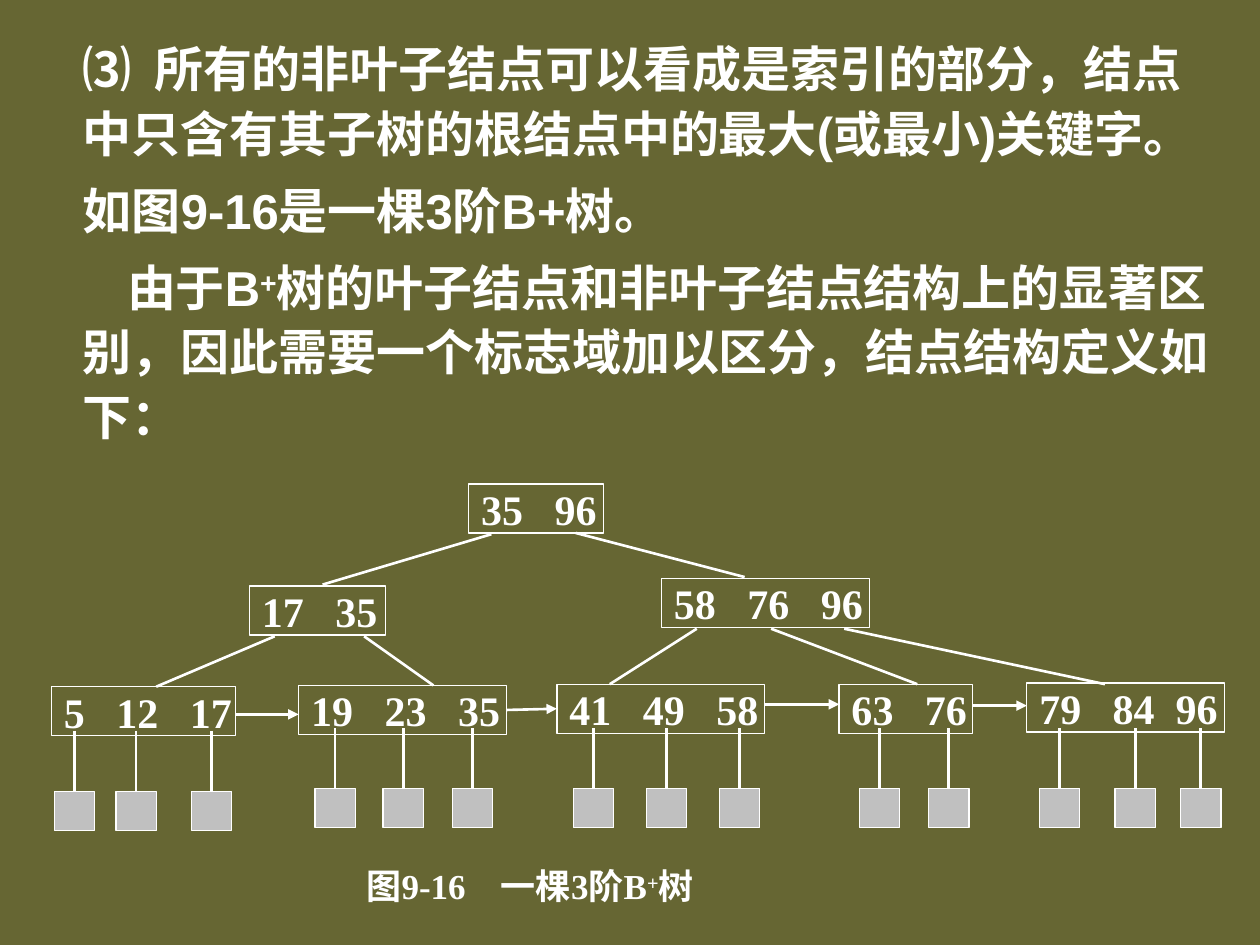
from lxml import etree
from pptx import Presentation
from pptx.dml.color import RGBColor
from pptx.enum.shapes import MSO_CONNECTOR, MSO_SHAPE
from pptx.enum.text import MSO_ANCHOR, PP_ALIGN
from pptx.oxml.ns import qn
from pptx.util import Inches, Pt

RECTANGLE = MSO_SHAPE.RECTANGLE
STRAIGHT = MSO_CONNECTOR.STRAIGHT
MIDDLE = MSO_ANCHOR.MIDDLE
LEFT = PP_ALIGN.LEFT
TOP_SIDE, LEFT_SIDE, RIGHT_SIDE = 0, 1, 3

COLORS = {"background": "666633", "white": "FFFFFF", "record": "C0C0C0"}
SANS, SERIF, CHINESE = "Arial", "Times New Roman", "Noto Sans CJK SC"
NODE_HEIGHT = 0.39
RECORD_WIDTH, RECORD_HEIGHT = 0.32, 0.31

BODY = [
    (0, [("⑶  所有的非叶子结点可以看成是索引的部分，结点中只含有其子树的根结点中的最大(或最小)关键字。", False)]),
    (0, [("如图9-16是一棵3阶B+树。", False)]),
    (0.35, [
        ("由于B", False),
        ("+", True),
        ("树的叶子结点和非叶子结点结构上的显著区别，因此需要一个标志域加以区分，结点结构定义如下：", False),
    ]),
]
CAPTION = [("图9-16    一棵3阶B", False), ("+", True), ("树", False)]

INNER_NODES = [
    ("35   96", 3.31, 0, 1.07),
    ("17   35", 1.57, 0.81, 1.08),
    ("58   76   96", 4.84, 0.75, 1.65),
]
BRANCHES = [
    (3.49, 0.4, 2.15, 0.8),
    (4.16, 0.39, 5.5, 0.74),
    (1.77, 1.21, 0.83, 1.61),
    (2.48, 1.21, 3.03, 1.6),
    (5.12, 1.15, 4.43, 1.59),
    (5.71, 1.15, 6.87, 1.59),
    (6.29, 1.15, 8.36, 1.59),
]
LEAVES = [
    ("5   12   17", 0, 1.61, 1.46, 1.96, (0.18, 0.67, 1.27)),
    ("19   23   35", 1.96, 1.6, 1.65, 1.94, (0.29, 0.83, 1.38)),
    ("41   49   58", 4.01, 1.59, 1.65, 1.94, (0.29, 0.87, 1.45)),
    ("63   76", 6.25, 1.59, 1.06, 1.94, (0.32, 0.87)),
    ("79   84  96", 7.74, 1.58, 1.57, 1.94, (0.26, 0.86, 1.38)),
]
CHAIN_HEIGHTS = [1.83, 1.79, 1.75, 1.76]


def color(name):
    """Return the named palette colour."""
    return RGBColor.from_string(COLORS[name])


def add_runs(paragraph, pieces, size, font_name):
    """Add bold white runs, raising those marked as superscript."""
    for text, raised in pieces:
        run = paragraph.add_run()
        run.text = text
        run.font.size = Pt(size)
        run.font.name = font_name
        run.font.bold = True
        run.font.color.rgb = color("white")
        properties = run.font._element
        etree.SubElement(properties, qn("a:ea"), typeface=CHINESE)
        if raised:
            properties.set("baseline", "26000")


def add_box(slide, left, top, width, height, fill=None):
    """Add a thinly outlined rectangle."""
    shape = slide.shapes.add_shape(
        RECTANGLE, Inches(left), Inches(top), Inches(width), Inches(height))
    shape.shadow.inherit = False
    shape.line.color.rgb = color("white")
    shape.line.width = Pt(0.75)
    if fill:
        shape.fill.solid()
        shape.fill.fore_color.rgb = color(fill)
    else:
        shape.fill.background()
    return shape


def add_node(slide, keys, left, top, width):
    """Add a tree node showing its keys."""
    shape = add_box(slide, left, top, width, NODE_HEIGHT)
    frame = shape.text_frame
    frame.word_wrap = False
    frame.vertical_anchor = MIDDLE
    frame.margin_right = 0
    frame.paragraphs[0].alignment = LEFT
    add_runs(frame.paragraphs[0], [(keys, False)], 24, SERIF)
    return shape


def add_line(slide, x1, y1, x2, y2, arrow=False):
    """Add a white line, with an arrowhead at its end on request."""
    connector = slide.shapes.add_connector(
        STRAIGHT, Inches(x1), Inches(y1), Inches(x2), Inches(y2))
    connector.line.color.rgb = color("white")
    connector.line.width = Pt(1.5)
    if arrow:
        etree.SubElement(connector.line._get_or_add_ln(), qn("a:tailEnd"), type="triangle")
    etree.SubElement(connector._element.spPr, qn("a:effectLst"))
    return connector


def add_body(slide, left, top, width, height):
    """Add the explanatory paragraphs."""
    frame = slide.shapes.add_textbox(
        Inches(left), Inches(top), Inches(width), Inches(height)).text_frame
    frame.word_wrap = True
    for index, (indent, pieces) in enumerate(BODY):
        paragraph = frame.add_paragraph() if index else frame.paragraphs[0]
        paragraph.line_spacing = 1.1
        paragraph.space_before = Pt(7)
        properties = paragraph._p.get_or_add_pPr()
        properties.set("marL", str(Inches(0.39)))
        properties.set("indent", str(Inches(indent)))
        properties.set("hangingPunct", "0")
        add_runs(paragraph, pieces, 28, SANS)


def add_records(slide, left, top, offsets):
    """Hang record boxes below a leaf, one under each key."""
    for offset in offsets:
        x = left + offset
        record_top = top + 0.48
        record = add_box(slide, x - RECORD_WIDTH / 2, record_top,
                         RECORD_WIDTH, RECORD_HEIGHT, "record")
        pointer = add_line(slide, x, top, x, record_top)
        pointer.end_connect(record, TOP_SIDE)


def add_chain(slide, top, leaf_shapes):
    """Link neighbouring leaves, joining arrows that meet the side middles."""
    for source, target, height in zip(leaf_shapes, leaf_shapes[1:], CHAIN_HEIGHTS):
        y = top + height
        arrow = add_line(slide, (source.left + source.width) / Inches(1), y,
                         target.left / Inches(1), y, arrow=True)
        for shape, join, side in ((source, arrow.begin_connect, RIGHT_SIDE),
                                  (target, arrow.end_connect, LEFT_SIDE)):
            if abs(shape.top + shape.height / 2 - Inches(y)) < Inches(0.01):
                join(shape, side)


def add_tree(slide, left, top):
    """Add the B+ tree with its branches, leaf chain and records."""
    for keys, x, y, width in INNER_NODES:
        add_node(slide, keys, left + x, top + y, width)
    for x1, y1, x2, y2 in BRANCHES:
        add_line(slide, left + x1, top + y1, left + x2, top + y2)
    leaf_shapes = []
    for keys, x, y, width, pointer_top, offsets in LEAVES:
        leaf_shapes.append(add_node(slide, keys, left + x, top + y, width))
        add_records(slide, left + x, top + pointer_top, offsets)
    add_chain(slide, top, leaf_shapes)


def add_caption(slide, left, top, width, height):
    """Add the figure caption."""
    frame = slide.shapes.add_textbox(
        Inches(left), Inches(top), Inches(width), Inches(height)).text_frame
    frame.word_wrap = True
    frame.vertical_anchor = MIDDLE
    frame.margin_right = 0
    add_runs(frame.paragraphs[0], CAPTION, 20, SERIF)


def main():
    """Build and save the slide."""
    presentation = Presentation()
    presentation.slide_width = Inches(10)
    presentation.slide_height = Inches(7.5)
    slide = presentation.slides.add_slide(presentation.slide_layouts[6])
    slide.background.fill.solid()
    slide.background.fill.fore_color.rgb = color("background")
    add_body(slide, 0.17, 0.21, 9.64, 3.39)
    add_tree(slide, 0.41, 3.84)
    add_caption(slide, 2.81, 6.83, 3.15, 0.39)
    presentation.save("out.pptx")


if __name__ == "__main__":
    main()
